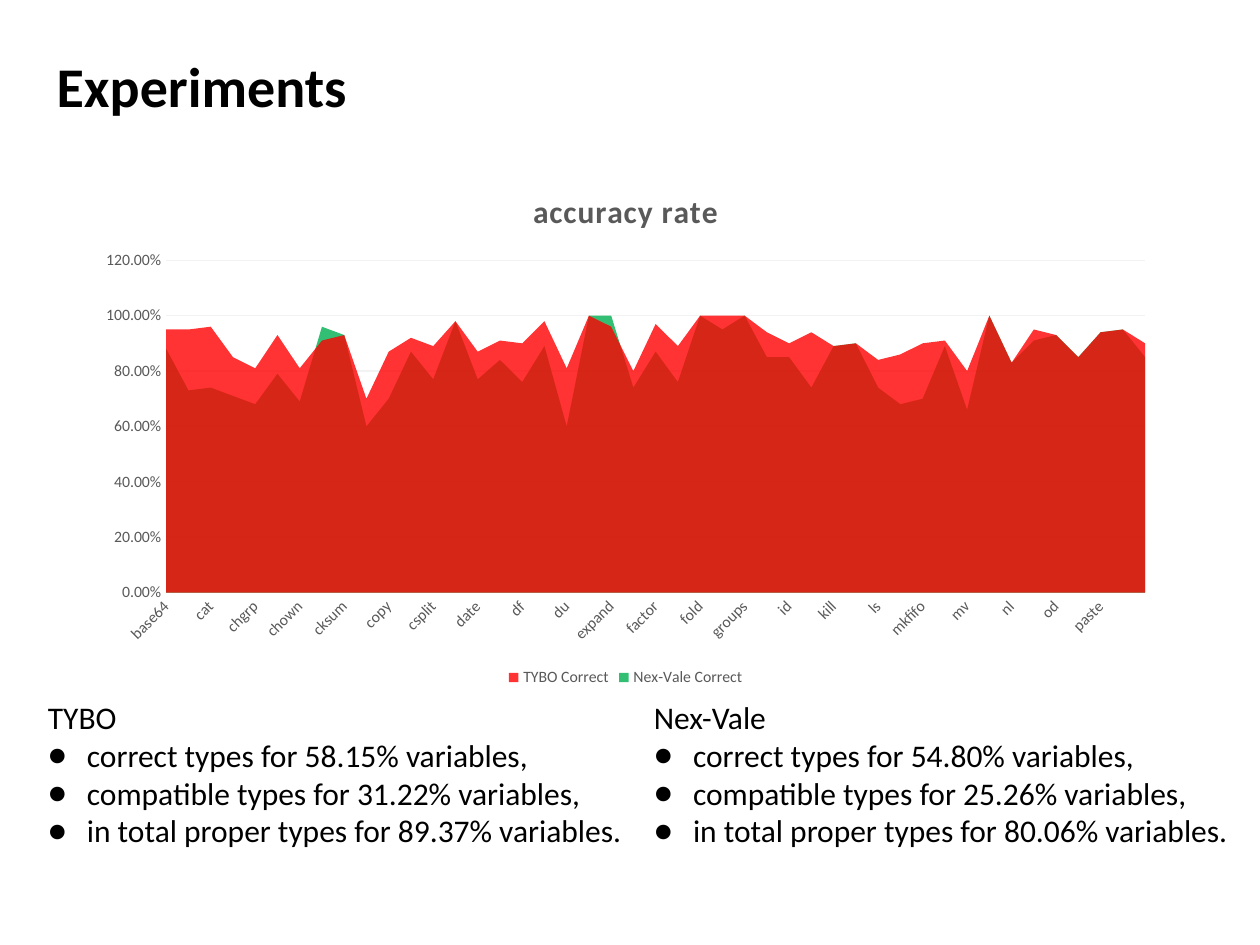
from pptx import Presentation
from pptx.chart.data import CategoryChartData
from pptx.dml.color import RGBColor
from pptx.enum.chart import XL_CHART_TYPE as ChartType, XL_LEGEND_POSITION as LegendPosition
from pptx.enum.chart import XL_TICK_MARK as TickMark
from pptx.enum.text import MSO_ANCHOR as Anchor, MSO_AUTO_SIZE as AutoSize, PP_ALIGN as Align
from pptx.oxml.ns import qn
from pptx.util import Inches, Pt
from lxml.etree import SubElement

FONT = "Calibri"
BLACK = RGBColor(0x00, 0x00, 0x00)
GRAY = RGBColor(0x59, 0x59, 0x59)
AXIS_GRAY = RGBColor(0xD9, 0xD9, 0xD9)
GRID_GRAY = RGBColor(0xF2, 0xF2, 0xF2)
RED = RGBColor(0xFF, 0x00, 0x00)
GREEN = RGBColor(0x00, 0xB0, 0x50)

TITLE = "Experiments"
CHART_TITLE = "accuracy rate"
OUR_TOOL, OTHER_TOOL = "TYBO", "Nex-Vale"
SUMMARIES = [
    (OUR_TOOL, "58.15%", "31.22%", "89.37%", 0.28, 4.81),
    (OTHER_TOOL, "54.80%", "25.26%", "80.06%", 5.09, 4.87),
]
PROGRAMS = (
    "base64 basename cat chron chgrp chmod chown chroot cksum comm copy cp csplit cut date "
    "dd df dircolors du echo expand expr factor fmt fold getlimits groups head id join kill "
    "ln ls mkdir mkfifo mktemp mv nice nl nohup od operand2sig paste pathchk"
).split() + [""]
ACCURACY = [
    (OUR_TOOL, RED, [
        0.95, 0.95, 0.96, 0.85, 0.81, 0.93, 0.81, 0.91, 0.93, 0.7, 0.87, 0.92, 0.89, 0.98, 0.87,
        0.91, 0.9, 0.98, 0.81, 1, 0.96, 0.8, 0.97, 0.89, 1, 1, 1, 0.94, 0.9, 0.94,
        0.89, 0.9, 0.84, 0.86, 0.9, 0.91, 0.8, 1, 0.83, 0.95, 0.93, 0.85, 0.94, 0.95, 0.9]),
    (OTHER_TOOL, GREEN, [
        0.88, 0.73, 0.74, 0.71, 0.68, 0.79, 0.69, 0.96, 0.93, 0.6, 0.7, 0.87, 0.77, 0.98, 0.77,
        0.84, 0.76, 0.89, 0.6, 1, 1, 0.74, 0.87, 0.76, 1, 0.95, 1, 0.85, 0.85, 0.74,
        0.89, 0.9, 0.74, 0.68, 0.7, 0.89, 0.66, 1, 0.83, 0.91, 0.93, 0.85, 0.94, 0.95, 0.85]),
]


def style_font(font, size, color, bold=False):
    font.name, font.size, font.bold = FONT, Pt(size), bold
    font.color.rgb = color


def fill_placeholder(shape, box, lines, size, bold=False):
    shape.left, shape.top, shape.width, shape.height = map(Inches, box)
    frame = shape.text_frame
    frame.text = "\n".join(lines)
    frame.word_wrap = True
    frame.auto_size = AutoSize.NONE
    frame.vertical_anchor = Anchor.TOP
    for paragraph in frame.paragraphs:
        paragraph.alignment = Align.LEFT
        paragraph.space_before = Pt(0)
        style_font(paragraph.runs[0].font, size, BLACK, bold)
    return frame.paragraphs


def set_bullet(paragraph, bullet):
    properties = paragraph._p.get_or_add_pPr()
    indent = Inches(0.31) if bullet else 0
    properties.set("marL", str(indent))
    properties.set("indent", str(-indent))
    if bullet:
        SubElement(properties, qn("a:buFont")).set("typeface", FONT)
        SubElement(properties, qn("a:buChar")).set("char", "●")
    else:
        SubElement(properties, qn("a:buNone"))


def add_accuracy_chart(slide):
    data = CategoryChartData(number_format="0.00%")
    data.categories = PROGRAMS
    for tool, _, values in ACCURACY:
        data.add_series(f"{tool} Correct", values)
    chart = slide.shapes.add_chart(
        ChartType.AREA, Inches(0.67), Inches(1.32), Inches(8.59), Inches(4.17), data).chart
    style_font(chart.font, 10, BLACK)

    chart.has_title = True
    chart.chart_title.include_in_layout = False
    chart.chart_title.text_frame.text = CHART_TITLE
    title_font = chart.chart_title.text_frame.paragraphs[0].runs[0].font
    style_font(title_font, 18, GRAY, bold=True)
    title_font._element.set("spc", "50")

    chart.has_legend = True
    chart.legend.position = LegendPosition.BOTTOM
    chart.legend.include_in_layout = False
    style_font(chart.legend.font, 9, GRAY)

    for axis in (chart.category_axis, chart.value_axis):
        axis.major_tick_mark = axis.minor_tick_mark = TickMark.NONE
        style_font(axis.tick_labels.font, 9, GRAY)
    category_axis, value_axis = chart.category_axis, chart.value_axis
    category_axis.has_major_gridlines = False
    category_axis.format.line.color.rgb = AXIS_GRAY
    category_axis.format.line.width = Pt(0.75)
    category_axis._element.find(qn("c:txPr")).find(qn("a:bodyPr")).set("rot", "-2700000")
    value_axis.minimum_scale, value_axis.maximum_scale, value_axis.major_unit = 0, 1.2, 0.2
    value_axis.tick_labels.number_format = "0.00%"
    value_axis.tick_labels.number_format_is_linked = False
    value_axis.format.line.fill.background()
    value_axis.has_major_gridlines = True
    value_axis.major_gridlines.format.line.color.rgb = GRID_GRAY
    value_axis.major_gridlines.format.line.width = Pt(0.75)

    chart.plots[0].vary_by_categories = False
    for series, (_, color, _) in zip(chart.plots[0].series, ACCURACY):
        series.format.fill.solid()
        series.format.fill.fore_color.rgb = color
        series.format.line.fill.background()
        color_element = series._element.find(qn("c:spPr")).find(qn("a:solidFill"))[0]
        SubElement(color_element, qn("a:alpha")).set("val", "80000")


def main():
    presentation = Presentation()
    presentation.slide_width, presentation.slide_height = Inches(10), Inches(7.5)
    slide = presentation.slides.add_slide(presentation.slide_layouts.get_by_name("Two Content"))
    title, *bodies = list(slide.placeholders)[:3]
    fill_placeholder(title, (0.35, 0.36, 2.99, 0.64), [TITLE], 32, bold=True)
    add_accuracy_chart(slide)
    for body, (tool, correct, compatible, total, left, width) in zip(bodies, SUMMARIES):
        lines = [
            tool,
            f"correct types for {correct} variables,",
            f"compatible types for {compatible} variables,",
            f"in total proper types for {total} variables.",
        ]
        paragraphs = fill_placeholder(body, (left, 5.49, width, 1.31), lines, 18)
        for index, paragraph in enumerate(paragraphs):
            set_bullet(paragraph, bullet=index > 0)
    presentation.save("out.pptx")


if __name__ == "__main__":
    main()
